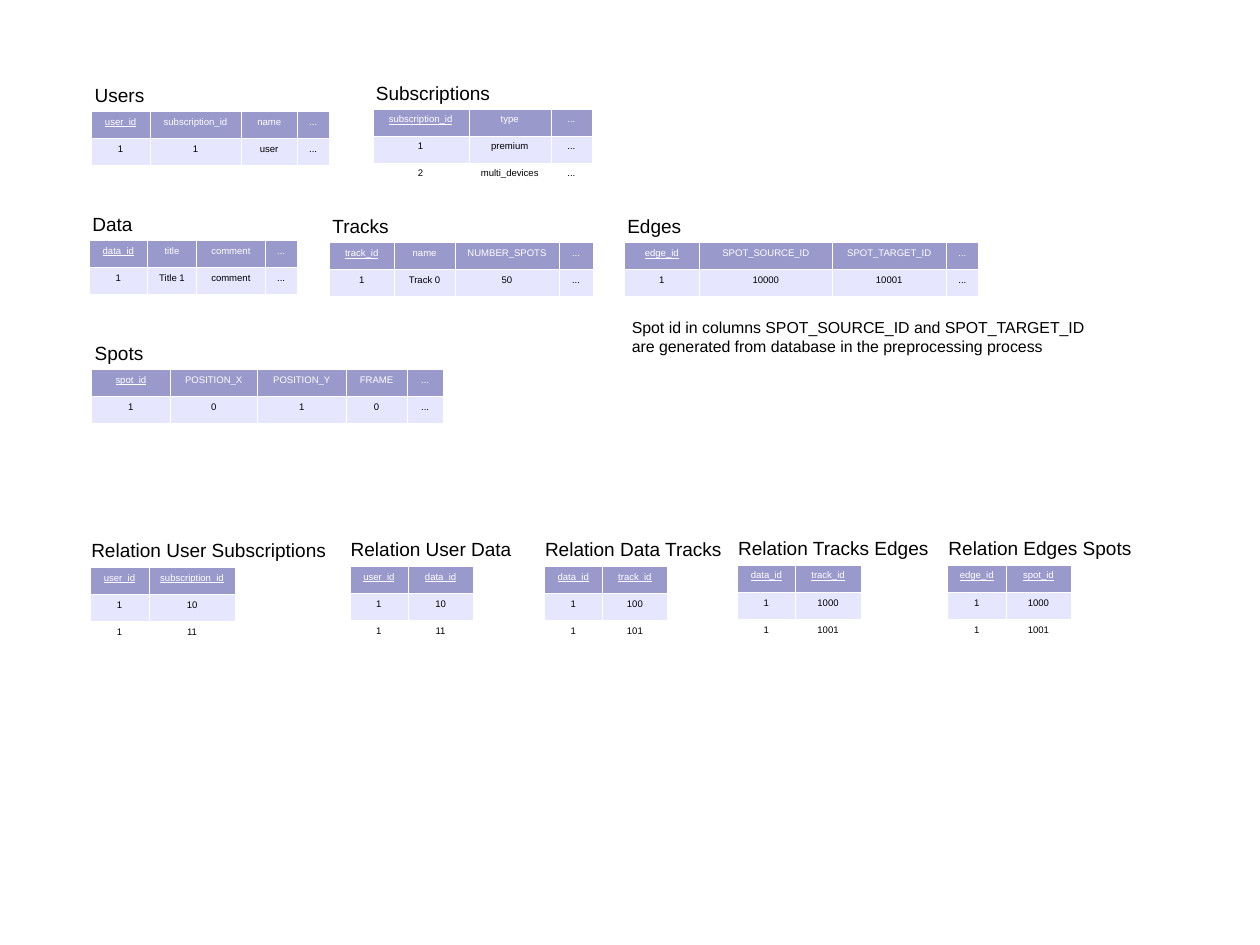
"""Build a slide that shows the tables of a tracking database and their relations."""
import pptx
import pptx.dml.color
import pptx.enum.text
import pptx.oxml
import pptx.oxml.ns
import pptx.util
from pptx.util import Inches

COLORS = {"header": "9999CC", "band": "E6E6FF", "white": "FFFFFF", "black": "000000"}
ROW_FILLS = ["header", "band", "white"]
ROW_HEIGHT = 0.71 / 3
CM_PER_INCH = 2.54
RELATION_WIDTHS = [0.51, 0.57]

ENTITIES = [
    ("Users", 0.66, 0.8, 0.97, [0.51, 0.8, 0.49, 0.28],
     [["user_id", "subscription_id", "name", "..."], ["1", "1", "user", "..."]]),
    ("Data", 0.58, 0.78, 2.1, [0.51, 0.43, 0.6, 0.28],
     [["data_id", "title", "comment", "..."], ["1", "Title 1", "comment", "..."]]),
    ("Tracks", 0.73, 2.88, 2.12, [0.57, 0.53, 0.91, 0.3],
     [["track_id", "name", "NUMBER_SPOTS", "..."], ["1", "Track 0", "50", "..."]]),
    ("Subscriptions", 1.23, 3.26, 0.95, [0.84, 0.72, 0.36],
     [["subscription_id", "type", "..."], ["1", "premium", "..."],
      ["2", "multi_devices", "..."]]),
    ("Edges", 0.7, 5.46, 2.12, [0.66, 1.16, 1, 0.28],
     [["edge_id", "SPOT_SOURCE_ID", "SPOT_TARGET_ID", "..."],
      ["1", "10000", "10001", "..."]]),
    ("Spots", 0.65, 0.8, 3.23, [0.69, 0.76, 0.78, 0.53, 0.32],
     [["spot_id", "POSITION_X", "POSITION_Y", "FRAME", "..."],
      ["1", "0", "1", "0", "..."]]),
]
RELATIONS = [
    ("Relation User Subscriptions", 2.28, 0.79, 4.96, [0.51, 0.76],
     [["user_id", "subscription_id"], ["1", "10"], ["1", "11"]]),
    ("Relation User Data", 1.64, 3.06, 4.95, RELATION_WIDTHS,
     [["user_id", "data_id"], ["1", "10"], ["1", "11"]]),
    ("Relation Data Tracks", 1.78, 4.76, 4.95, RELATION_WIDTHS,
     [["data_id", "track_id"], ["1", "100"], ["1", "101"]]),
    ("Relation Tracks Edges", 1.9, 6.45, 4.94, RELATION_WIDTHS,
     [["data_id", "track_id"], ["1", "1000"], ["1", "1001"]]),
    ("Relation Edges Spots", 1.9, 8.29, 4.94, RELATION_WIDTHS,
     [["edge_id", "spot_id"], ["1", "1000"], ["1", "1001"]]),
]


def write_text(frame, lines, size, color, **formats):
    """Fill a text frame with one formatted paragraph per line."""
    for index, line in enumerate(lines):
        para = frame.add_paragraph() if index else frame.paragraphs[0]
        para.alignment = formats.get("alignment")
        span = para.add_run()
        span.text = line
        settings = {"name": "Arial", "size": pptx.util.Pt(size),
                    "underline": formats.get("underline", False)}
        for name, value in settings.items():
            setattr(span.font, name, value)
        span.font.color.rgb = pptx.dml.color.RGBColor.from_string(COLORS[color])


def add_label(slide, lines, left, top, width, height, size):
    """Add a text box that keeps its lines unwrapped."""
    box = slide.shapes.add_textbox(Inches(left), Inches(top), Inches(width), Inches(height))
    box.text_frame.word_wrap = False
    box.text_frame.auto_size = pptx.enum.text.MSO_AUTO_SIZE.SHAPE_TO_FIT_TEXT
    write_text(box.text_frame, lines, size, "black")


deck = pptx.Presentation()
deck.slide_width = Inches(28 / CM_PER_INCH)
deck.slide_height = Inches(21 / CM_PER_INCH)
page = deck.slides.add_slide(deck.slide_layouts[6])

groups = [(ENTITIES, 1, 0.07, 0.29), (RELATIONS, 2, 0.09, 0.3)]
for group, key_count, label_indent, label_rise in groups:
    for title, title_width, left, top, widths, rows in group:
        grid = page.shapes.add_table(
            len(rows), len(widths), Inches(left), Inches(top),
            Inches(sum(widths)), Inches(ROW_HEIGHT * len(rows))).table
        for column, width in zip(grid.columns, widths):
            column.width = Inches(width)
        for row_index, values in enumerate(rows):
            grid.rows[row_index].height = Inches(ROW_HEIGHT)
            is_header = row_index == 0
            for column_index, value in enumerate(values):
                cell = grid.cell(row_index, column_index)
                write_text(cell.text_frame, [value], 6, "white" if is_header else "black",
                           alignment=pptx.enum.text.PP_ALIGN.CENTER,
                           underline=is_header and column_index < key_count)
                properties = cell._tc.get_or_add_tcPr()
                for side in ("lnL", "lnR", "lnT", "lnB"):
                    properties.append(pptx.oxml.parse_xml(
                        f'<a:{side} {pptx.oxml.ns.nsdecls("a")} w="762"><a:solidFill>'
                        f'<a:srgbClr val="{COLORS["white"]}"/></a:solidFill></a:{side}>'))
                cell.fill.solid()
                cell.fill.fore_color.rgb = pptx.dml.color.RGBColor.from_string(
                    COLORS[ROW_FILLS[row_index]])
        add_label(page, [title], left - label_indent, top - label_rise, title_width, 0.29, 12)

add_label(page, ["Spot id in columns SPOT_SOURCE_ID and SPOT_TARGET_ID",
                 "are generated from database in the preprocessing process"],
          5.43, 2.73, 4.2, 0.41, 10)

deck.save("out.pptx")
